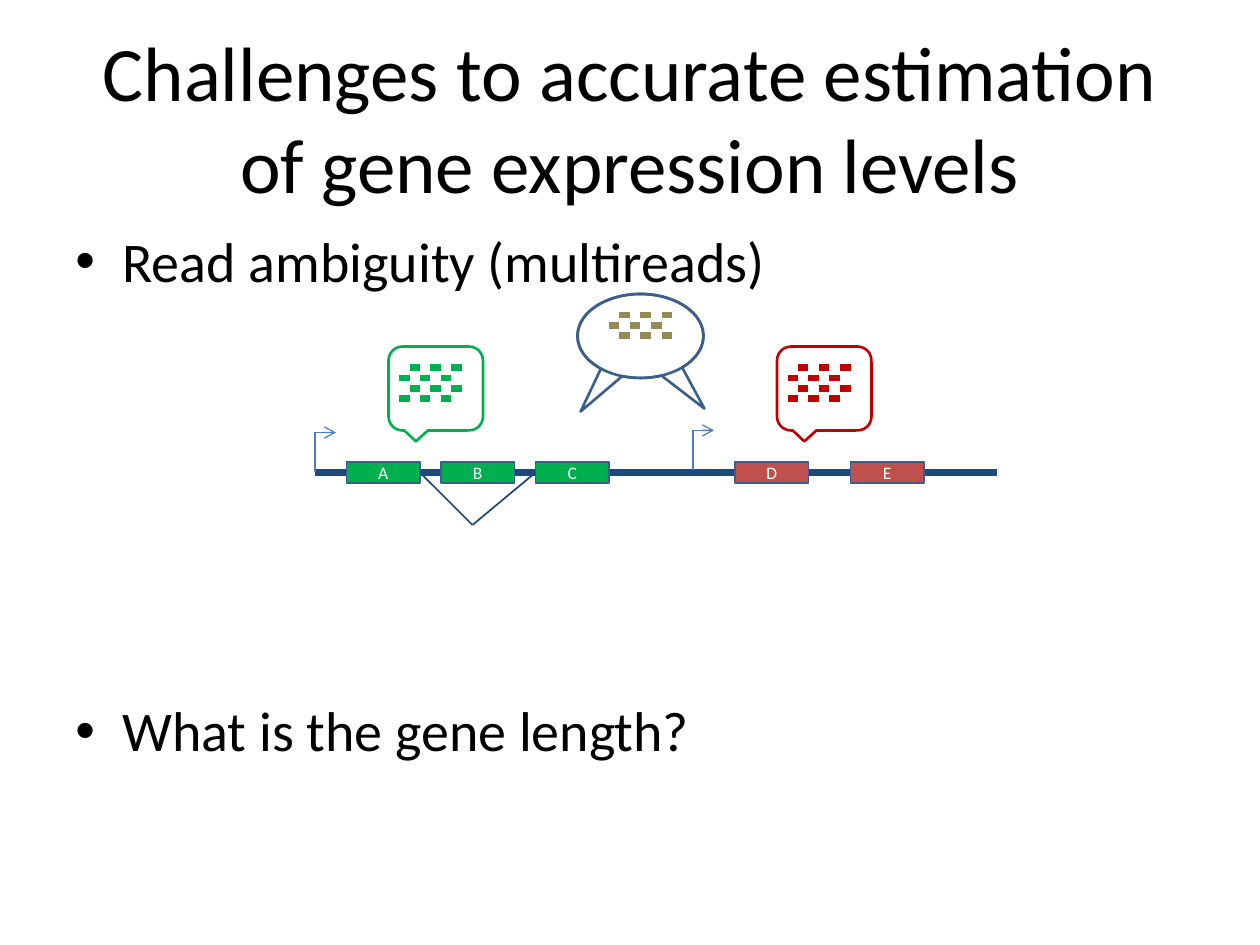
"""Build the slide on challenges in estimating gene expression levels."""
from dataclasses import dataclass
from typing import Any

from lxml.etree import SubElement
from pptx import Presentation as Deck
from pptx.dml.color import RGBColor as Rgb
from pptx.enum.shapes import MSO_CONNECTOR as Link, MSO_SHAPE as Kind
from pptx.enum.text import MSO_ANCHOR as Anchor, PP_ALIGN as Align
from pptx.oxml.ns import qn
from pptx.util import Cm, Pt

STEP = 2.54 / 12


@dataclass(frozen=True)
class Theme:
    font: str = "Calibri"
    black: str = "000000"
    white: str = "FFFFFF"
    navy: str = "1F497D"
    edge: str = "3A5F8C"
    arrow: str = "4B7EBC"
    green: str = "00B050"
    brick: str = "C0504D"
    red: str = "C00000"
    tan: str = "948A54"
    title: int = 44
    body: int = 32
    label: int = 10
    thick: float = 4
    frame: float = 1.5
    thin: float = 1
    hair: float = 0.75


@dataclass(frozen=True)
class Exon:
    name: str
    left: int
    fill: str


@dataclass(frozen=True)
class Cloud:
    kind: Any
    box: tuple[int, int, int, int]
    start: tuple[int, int]
    rows: int
    reads: str
    edge: str
    tips: tuple[tuple[float, float], ...]


LOOK = Theme()
EXONS = (
    Exon("A", 33, LOOK.green),
    Exon("B", 42, LOOK.green),
    Exon("C", 51, LOOK.green),
    Exon("D", 70, LOOK.brick),
    Exon("E", 81, LOOK.brick),
)
ROUND, OVAL = Kind.ROUNDED_RECTANGULAR_CALLOUT, Kind.OVAL_CALLOUT
SIDE = ((-0.21, 0.63),)
CLOUDS = (
    Cloud(ROUND, (37, 33, 9, 8), (38, 35), 4, LOOK.green, LOOK.green, SIDE),
    Cloud(ROUND, (74, 33, 9, 8), (75, 35), 4, LOOK.red, LOOK.red, SIDE),
    Cloud(OVAL, (55, 28, 12, 8), (58, 30), 3, LOOK.tan, LOOK.edge,
          ((-0.475, 0.899), (0.508, 0.865))),
)


def grid(*steps: float) -> list[Cm]:
    return [Cm(step * STEP) for step in steps]


def apply(target: Any, **values: Any) -> None:
    for name, value in values.items():
        setattr(target, name, value)


def style(part: Any, size: float, color: str) -> None:
    apply(part.font, name=LOOK.font, size=Pt(size))
    part.font.color.rgb = Rgb.from_string(color)


def stroke(shape: Any, color: str, width: float) -> None:
    shape.line.color.rgb = Rgb.from_string(color)
    shape.line.width = Pt(width)


def line(group: Any, ends: tuple, color: str, width: float,
         kind: Any = Link.STRAIGHT) -> Any:
    link = group.shapes.add_connector(kind, *grid(*ends))
    stroke(link, color, width)
    SubElement(link._element.spPr, qn("a:effectLst"))
    return link


def draw_start(group: Any, left: float, base: float) -> None:
    rise, run = 3.8, 2
    mid, level = left + run / 2, base - rise / 2
    ends = (mid + rise / 2, level + run / 2, mid - rise / 2, level - run / 2)
    link = line(group, ends, LOOK.arrow, LOOK.hair, Link.ELBOW)
    props = link._element.spPr
    props.find(qn("a:xfrm")).set("rot", "5400000")
    props.find(qn("a:prstGeom")).set("prst", "bentConnector2")
    SubElement(props.find(qn("a:ln")), qn("a:tailEnd"), type="arrow")


def draw_exon(group: Any, exon: Exon) -> None:
    box = group.shapes.add_shape(Kind.RECTANGLE, *grid(exon.left, 44, 7, 2))
    box.shadow.inherit = False
    box.fill.solid()
    box.fill.fore_color.rgb = Rgb.from_string(exon.fill)
    stroke(box, LOOK.edge, LOOK.hair)
    box.text_frame.vertical_anchor = Anchor.MIDDLE
    para = box.text_frame.paragraphs[0]
    apply(para, text=exon.name, alignment=Align.CENTER)
    style(para, LOOK.label, LOOK.white)


def draw_gene(slide: Any) -> None:
    group = slide.shapes.add_group_shape()
    line(group, (30, 45, 95, 45), LOOK.navy, LOOK.thick)
    for exon in EXONS:
        draw_exon(group, exon)
    draw_start(group, 30, 45)
    draw_start(group, 66, 44.8)
    for left in (40, 51):
        line(group, (left, 45, 45, 50), LOOK.navy, LOOK.thin)


def draw_cloud(slide: Any, cloud: Cloud) -> None:
    group = slide.shapes.add_group_shape()
    left, top = cloud.start
    for row in range(cloud.rows):
        for col in range(3):
            x, y = left + 2 * col + (row + 1) % 2, top + row
            line(group, (x, y, x + 1, y), cloud.reads, LOOK.thick)
    for tip in cloud.tips:
        shape = group.shapes.add_shape(cloud.kind, *grid(*cloud.box))
        shape.shadow.inherit = False
        shape.fill.background()
        stroke(shape, cloud.edge, LOOK.frame)
        for index, value in enumerate(tip):
            shape.adjustments[index] = value


def add_text(slide: Any, box: tuple, anchor: Any) -> Any:
    frame = slide.shapes.add_textbox(*map(Cm, box)).text_frame
    apply(frame, word_wrap=True, vertical_anchor=anchor)
    return frame


def add_title(slide: Any) -> None:
    frame = add_text(slide, (1.27, 0.76, 22.86, 3.18), Anchor.MIDDLE)
    para = frame.paragraphs[0]
    apply(para, alignment=Align.CENTER,
          text="Challenges to accurate estimation of gene expression levels")
    style(para, LOOK.title, LOOK.black)


def add_points(slide: Any) -> None:
    frame = add_text(slide, (1.27, 4.45, 22.86, 12.57), Anchor.TOP)
    points = (("Read ambiguity (multireads)", 0),
              ("What is the gene length?", 8.1))
    for index, (words, gap) in enumerate(points):
        para = frame.add_paragraph() if index else frame.paragraphs[0]
        apply(para, text=words, space_before=Cm(gap))
        props = para._p.get_or_add_pPr()
        indent = Cm(0.95)
        props.set("marL", str(indent))
        props.set("indent", str(-indent))
        SubElement(props, qn("a:buFont"), typeface="Arial")
        SubElement(props, qn("a:buChar"), char="•")
        style(para, LOOK.body, LOOK.black)


def main() -> None:
    deck = Deck()
    apply(deck, slide_width=Cm(25.4), slide_height=Cm(19.05))
    slide = deck.slides.add_slide(deck.slide_layouts[6])
    add_title(slide)
    add_points(slide)
    draw_gene(slide)
    for cloud in CLOUDS:
        draw_cloud(slide, cloud)
    deck.save("out.pptx")


if __name__ == "__main__":
    main()
